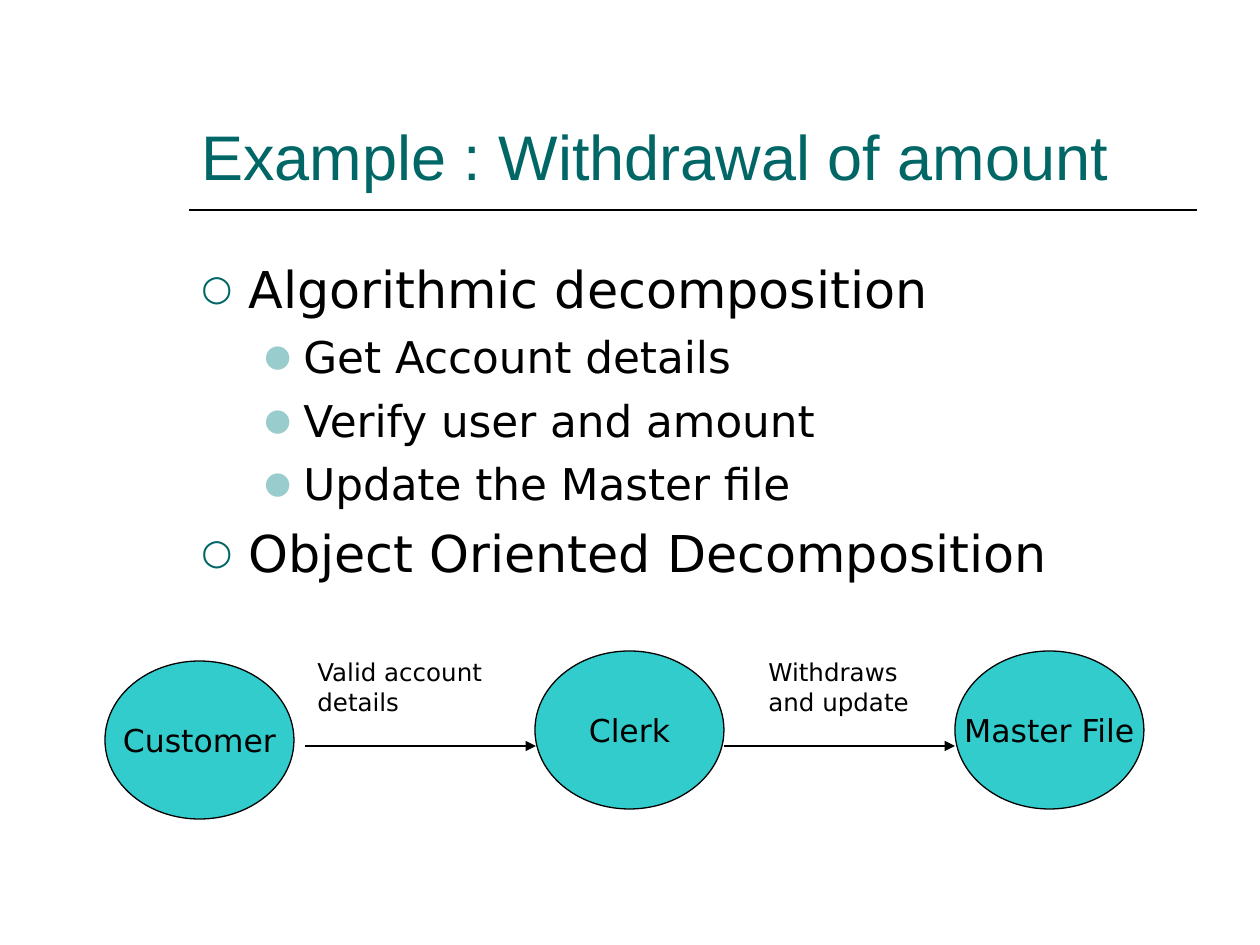
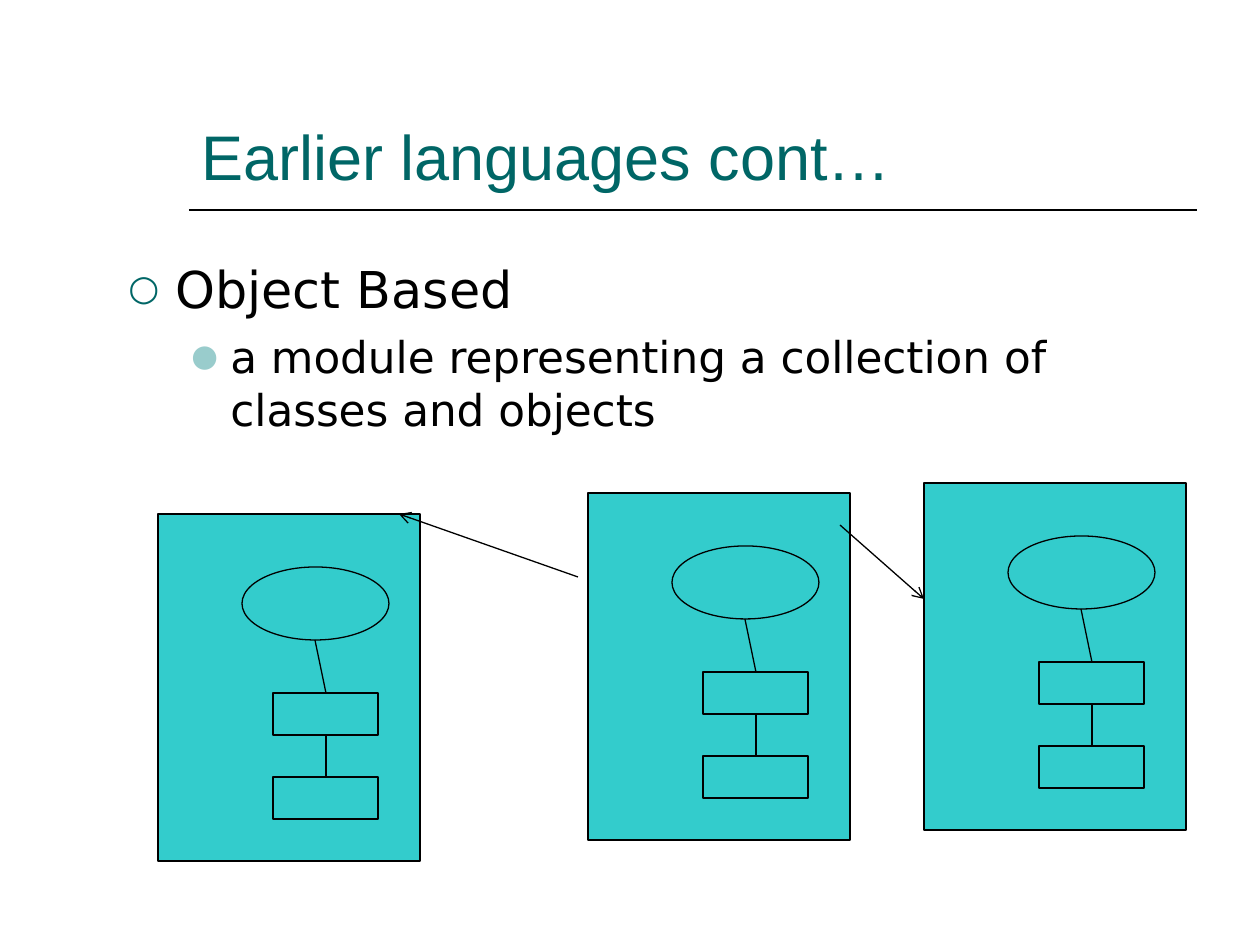
from pptx import Presentation
from pptx.dml.color import RGBColor
from pptx.enum.shapes import MSO_CONNECTOR, MSO_SHAPE as SHAPE
from pptx.enum.text import MSO_ANCHOR as ANCHOR, MSO_AUTO_SIZE as AUTOSIZE, PP_ALIGN as ALIGN
from pptx.oxml.ns import qn
from pptx.util import Emu, Pt
from lxml.etree import SubElement

# Shared look
PX = 914400 // 126
TEAL, PALE, AQUA, BLACK = "006666", "99CCCC", "33CCCC", "000000"
TITLE_FONT, BODY_FONT = "Arial", "DejaVu Sans"
THIN, RULE = 0.74, 0.99
TITLE_BOX = (189, 42, 1008, 157)
TITLE_RULE = ((189, 210), (1197, 210))
# Per outline level: size, space before, left margin, hanging indent, bullet, bullet colour
LEVELS = [(29, 7.3, 47, 47, "\u25cb", TEAL),
          (25, 6.2, 102, 39, "\u25cf", PALE)]

# Slide 1: outline as (level, text), then the data flow
WITHDRAWAL = "Example : Withdrawal of amount"
WITHDRAWAL_BOX = (189, 252, 1008, 567)
WITHDRAWAL_OUTLINE = [
    (0, "Algorithmic decomposition"),
    (1, "Get Account details"),
    (1, "Verify user and amount"),
    (1, "Update the Master file"),
    (0, "Object Oriented Decomposition"),
]
ACTOR_SIZE = (189, 158)
ACTORS = [("Customer", 105, 661), ("Clerk", 535, 651), ("Master File", 955, 651)]
FLOW_Y, FLOW_LENGTH = 746, 231
FLOWS = [("Valid account details", 305, (305, 651, 199, 72)),
         ("Withdraws and update", 724, (756, 651, 179, 72))]

# Slide 2: outline, then the modules and their references
LANGUAGES = "Earlier languages cont\u2026"
LANGUAGES_BOX = (116, 252, 1081, 630)
LANGUAGES_OUTLINE = [
    (0, "Object Based"),
    (1, "a module representing a collection of classes and objects"),
]
MODULES = [(158, 514), (588, 493), (924, 483)]
# Parts of one module, measured from its top left corner
MODULE_PARTS = [(SHAPE.RECTANGLE, 0, 0, 262, 347),
                (SHAPE.OVAL, 84, 53, 147, 73),
                (SHAPE.RECTANGLE, 115, 179, 105, 42),
                (SHAPE.RECTANGLE, 115, 263, 105, 42)]
MODULE_LINKS = [((168, 221), (168, 263)), ((157, 126), (168, 179))]
REFERENCES = [((578, 577), (399, 514)), ((840, 525), (924, 599))]


def px(*lengths):
    return [Emu(round(length * PX)) for length in lengths]


def color(hex_text):
    return RGBColor.from_string(hex_text)


def add_run(paragraph, text, size, font=BODY_FONT, ink=BLACK):
    run = paragraph.add_run()
    run.text = text
    run.font.size, run.font.name = Pt(size), font
    run.font.color.rgb = color(ink)


def add_text_frame(slide, box, anchor=ANCHOR.TOP):
    frame = slide.shapes.add_textbox(*px(*box)).text_frame
    frame.word_wrap, frame.vertical_anchor = True, anchor
    return frame


def add_figure(shapes, kind, box):
    figure = shapes.add_shape(kind, *px(*box))
    figure.shadow.inherit = False
    figure.fill.solid()
    figure.fill.fore_color.rgb = color(AQUA)
    figure.line.color.rgb = color(BLACK)
    figure.line.width = Pt(THIN)
    return figure


def add_line(shapes, start, end, width=THIN, arrowhead=None):
    line = shapes.add_connector(MSO_CONNECTOR.STRAIGHT, *px(*start, *end))
    line.line.color.rgb = color(BLACK)
    line.line.width = Pt(width)
    properties = line._element.spPr
    if arrowhead:
        SubElement(properties.find(qn("a:ln")), qn("a:tailEnd"), type=arrowhead)
    SubElement(properties, qn("a:effectLst"))


def add_outline(slide, box, items):
    frame = add_text_frame(slide, box)
    for index, (level, text) in enumerate(items):
        paragraph = frame.paragraphs[0] if index == 0 else frame.add_paragraph()
        size, before, margin, hanging, bullet, bullet_color = LEVELS[level]
        paragraph.level, paragraph.space_before = level, Pt(before)
        properties = paragraph._p.get_or_add_pPr()
        properties.set("marL", str(margin * PX))
        properties.set("indent", str(-hanging * PX))
        tint = SubElement(properties, qn("a:buClr"))
        SubElement(tint, qn("a:srgbClr"), val=bullet_color)
        SubElement(properties, qn("a:buSzPct"), val="70000")
        SubElement(properties, qn("a:buFont"), typeface=BODY_FONT)
        SubElement(properties, qn("a:buChar"), char=bullet)
        add_run(paragraph, text, size)


def add_topic_slide(title, box, outline):
    slide = deck.slides.add_slide(deck.slide_layouts[6])
    slide.background.fill.solid()
    slide.background.fill.fore_color.rgb = color("FFFFFF")
    add_line(slide.shapes, *TITLE_RULE, width=RULE)
    heading = add_text_frame(slide, TITLE_BOX, ANCHOR.BOTTOM)
    add_run(heading.paragraphs[0], title, 36, TITLE_FONT, TEAL)
    add_outline(slide, box, outline)
    return slide


def add_actor(slide, name, left, top):
    actor = add_figure(slide.shapes, SHAPE.FLOWCHART_CONNECTOR, (left, top, *ACTOR_SIZE))
    frame = actor.text_frame
    frame.word_wrap, frame.vertical_anchor = False, ANCHOR.MIDDLE
    frame.paragraphs[0].alignment = ALIGN.CENTER
    add_run(frame.paragraphs[0], name, 18)


def add_flow(slide, label, left, label_box):
    add_line(slide.shapes, (left, FLOW_Y), (left + FLOW_LENGTH, FLOW_Y), arrowhead="triangle")
    frame = add_text_frame(slide, label_box)
    frame.auto_size = AUTOSIZE.SHAPE_TO_FIT_TEXT
    frame.paragraphs[0].space_before = Pt(8.8)
    add_run(frame.paragraphs[0], label, 14)


def add_module(slide, left, top):
    module = slide.shapes.add_group_shape().shapes
    for kind, x, y, width, height in MODULE_PARTS:
        add_figure(module, kind, (left + x, top + y, width, height))
    for link in MODULE_LINKS:
        add_line(module, *[(left + x, top + y) for x, y in link])


deck = Presentation()
deck.slide_width, deck.slide_height = px(1260, 945)

# Withdrawal example
withdrawal = add_topic_slide(WITHDRAWAL, WITHDRAWAL_BOX, WITHDRAWAL_OUTLINE)
for actor in ACTORS:
    add_actor(withdrawal, *actor)
for flow in FLOWS:
    add_flow(withdrawal, *flow)

# Object based languages
languages = add_topic_slide(LANGUAGES, LANGUAGES_BOX, LANGUAGES_OUTLINE)
for corner in MODULES:
    add_module(languages, *corner)
for reference in REFERENCES:
    add_line(languages.shapes, *reference, arrowhead="arrow")

deck.save("out.pptx")
